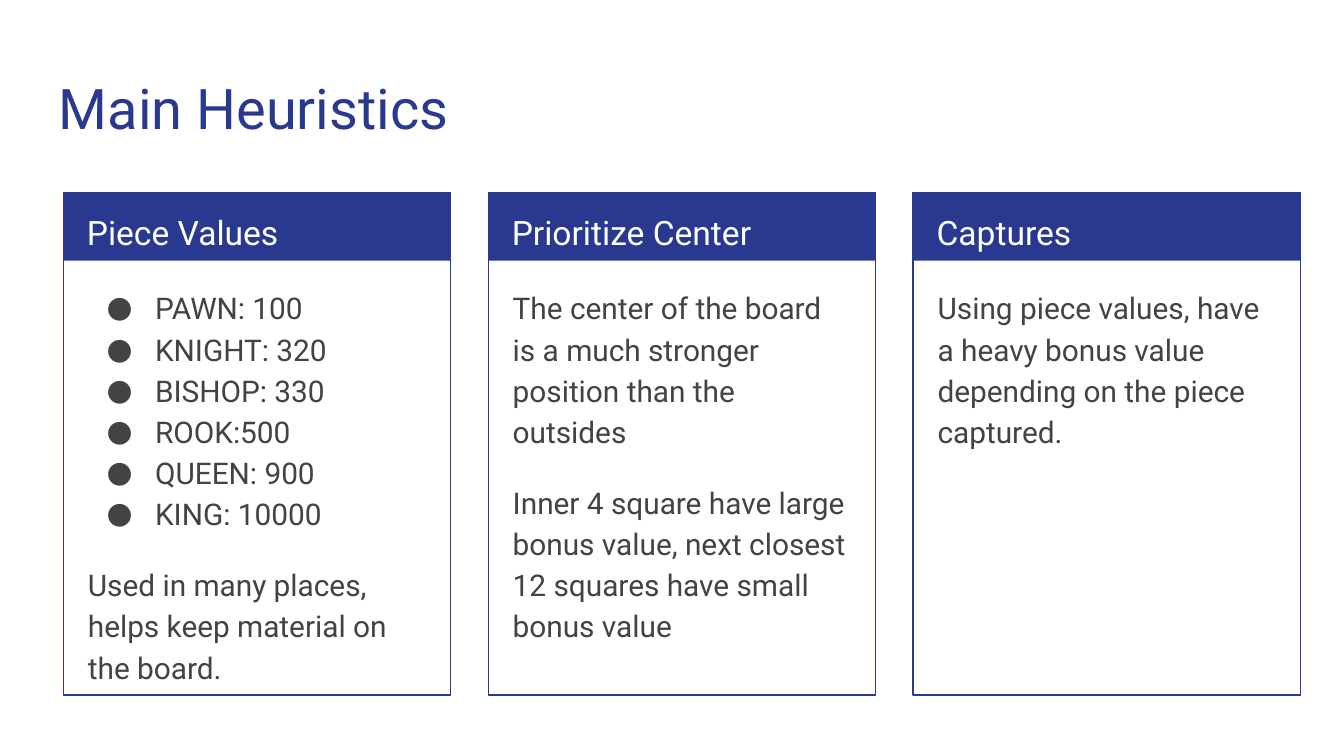
"""Build the Main Heuristics slide with three headed cards."""
from lxml.etree import SubElement
from pptx import Presentation
from pptx.dml.color import RGBColor
from pptx.enum.shapes import MSO_SHAPE
from pptx.oxml.ns import qn
from pptx.util import Pt

NAVY = RGBColor(0x2A, 0x39, 0x90)
WHITE = RGBColor(0xFF, 0xFF, 0xFF)
GRAY = RGBColor(0x43, 0x43, 0x43)
FONT = "Roboto"

TITLE = "Main Heuristics"
CARDS = [
    {
        "heading": "Piece Values",
        "bullets": ["PAWN: 100", "KNIGHT: 320", "BISHOP: 330",
                    "ROOK:500", "QUEEN: 900", "KING: 10000"],
        "notes": ["Used in many places, helps keep material on the board."],
    },
    {
        "heading": "Prioritize Center",
        "bullets": [],
        "notes": [
            "The center of the board is a much stronger position than the outsides",
            "Inner 4 square have large bonus value, next closest 12 squares have small bonus value",
        ],
    },
    {
        "heading": "Captures",
        "bullets": [],
        "notes": ["Using piece values, have a heavy bonus value depending on the piece captured."],
    },
]

CARD_LEFT, CARD_TOP, CARD_PITCH = 34, 103, 227.6
CARD_WIDTH, CARD_HEIGHT, BAND_HEIGHT = 207.4, 269.3, 36.7
HEADING_INSET, BODY_INSET, BODY_TOP = 5.5, 6, 145.4


def add_text(slide, box, lines, size, color, spacing=1.15):
    frame = slide.shapes.add_textbox(*map(Pt, box)).text_frame
    frame.word_wrap = True
    frame.margin_left = frame.margin_right = Pt(7.2)
    frame.margin_top = frame.margin_bottom = Pt(7.2)
    frame.text = "\n".join(lines)
    for paragraph in frame.paragraphs:
        paragraph.line_spacing = spacing
        font = paragraph.runs[0].font
        font.name, font.size = FONT, Pt(size)
        font.color.rgb = color
    return frame.paragraphs


def add_bullet(paragraph):
    properties = paragraph._p.get_or_add_pPr()
    properties.set("marL", str(Pt(36)))
    properties.set("indent", str(-Pt(26)))
    bullet_color = SubElement(properties, qn("a:buClr"))
    SubElement(bullet_color, qn("a:srgbClr")).set("val", str(GRAY))
    SubElement(properties, qn("a:buFont")).set("typeface", FONT)
    SubElement(properties, qn("a:buChar")).set("char", "●")


def add_panel(slide, left, height, filled):
    panel = slide.shapes.add_shape(
        MSO_SHAPE.RECTANGLE, Pt(left), Pt(CARD_TOP), Pt(CARD_WIDTH), Pt(height))
    panel.shadow.inherit = False
    if filled:
        panel.fill.solid()
        panel.fill.fore_color.rgb = NAVY
        panel.line.fill.background()
    else:
        panel.fill.background()
        panel.line.color.rgb = NAVY
        panel.line.width = Pt(0.75)


def add_card(slide, left, card):
    add_panel(slide, left, BAND_HEIGHT, True)
    add_panel(slide, left, CARD_HEIGHT, False)
    add_text(slide, (left + HEADING_INSET, CARD_TOP, 196.6, 36),
             [card["heading"]], 18, WHITE)
    lines = card["bullets"] + card["notes"]
    body = add_text(slide, (left + BODY_INSET, BODY_TOP, 195.1, 220.3),
                    lines, 16, GRAY)
    bullet_count = len(card["bullets"])
    for paragraph in body[:bullet_count]:
        add_bullet(paragraph)
    for paragraph in body[max(bullet_count, 1):]:
        paragraph.space_before = Pt(16)


def main():
    deck = Presentation()
    deck.slide_width, deck.slide_height = Pt(720), Pt(405)
    slide = deck.slides.add_slide(deck.slide_layouts[6])
    add_text(slide, (24.5, 32.4, 671, 47.5), [TITLE], 30, NAVY, 1.0)
    for index, card in enumerate(CARDS):
        add_card(slide, CARD_LEFT + index * CARD_PITCH, card)
    deck.save("out.pptx")


if __name__ == "__main__":
    main()
